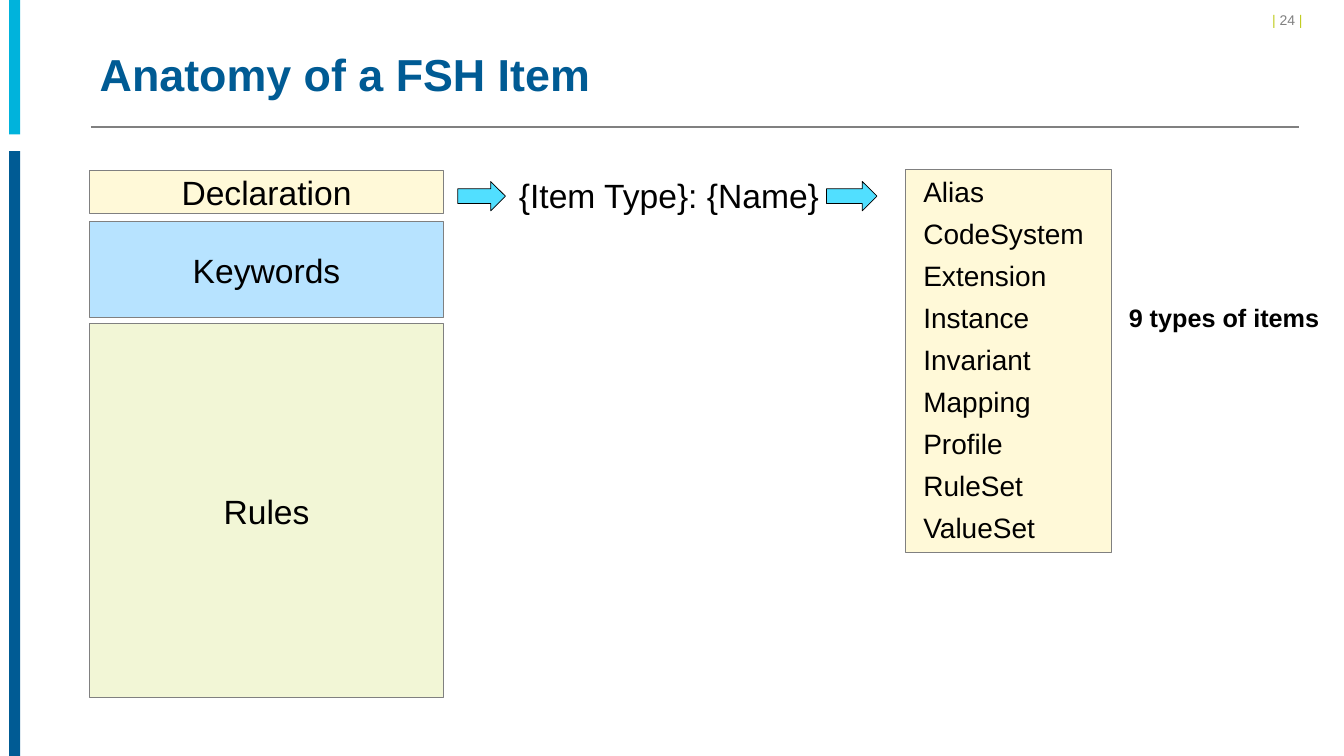
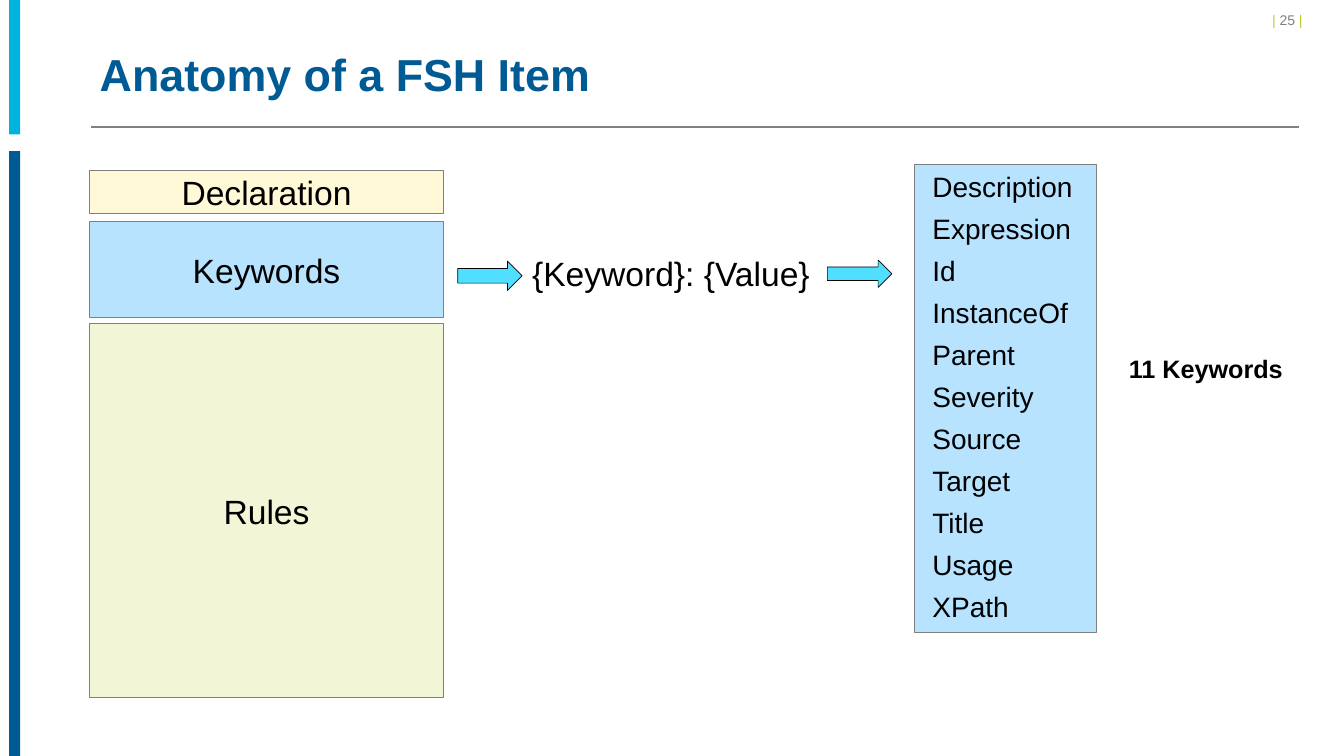
from lxml.etree import SubElement
from pptx import Presentation
from pptx.dml.color import RGBColor
from pptx.enum.shapes import MSO_CONNECTOR as Connector, MSO_SHAPE as Preset
from pptx.enum.text import MSO_ANCHOR as Anchor, PP_ALIGN as Align
from pptx.oxml.ns import qn
from pptx.util import Pt

FONT = "Arial"
COLORS = {
    "title": "005B94", "accent": "00B3DC", "grey": "808080", "lime": "C1CD23",
    "black": "000000", "arrow": "51DFFF",
    "declaration": "FFF9D8", "keywords": "B7E3FF", "rules": "F2F6D6",
}
TITLE = "Anatomy of a FSH Item"
PARTS = [("Declaration", 0, 31), ("Keywords", 36.6, 68.5), ("Rules", 109.5, 267)]
ITEM_TYPES = ["Alias", "CodeSystem", "Extension", "Instance", "Invariant",
              "Mapping", "Profile", "RuleSet", "ValueSet"]
KEYWORDS = ["Description", "Expression", "Id", "InstanceOf", "Parent", "Severity",
            "Source", "Target", "Title", "Usage", "XPath"]


def color(name):
    return RGBColor.from_string(COLORS[name])


def points(*lengths):
    return [Pt(length) for length in lengths]


def format_paragraph(paragraph, size, color_name="black", bold=False,
                     align=Align.LEFT, after=0):
    paragraph.alignment = align
    paragraph.space_after = Pt(after)
    font = paragraph.font
    font.name, font.size, font.bold = FONT, Pt(size), bold
    font.color.rgb = color(color_name)


def add_filled(slide, preset, box, fill, line=None):
    shape = slide.shapes.add_shape(preset, *points(*box))
    shape.shadow.inherit = False
    shape.fill.solid()
    shape.fill.fore_color.rgb = color(fill)
    if line:
        shape.line.color.rgb = color(line)
        shape.line.width = Pt(0.5)
    else:
        shape.line.fill.background()
    return shape


def add_label(slide, box, text, size, bold=False, wrap=True):
    frame = slide.shapes.add_textbox(*points(*box)).text_frame
    frame.word_wrap = wrap
    frame.text = text
    format_paragraph(frame.paragraphs[0], size, bold=bold)


def add_page_number(slide, number, box):
    frame = slide.shapes.add_textbox(*points(*box)).text_frame
    frame.word_wrap = True
    paragraph = frame.paragraphs[0]
    format_paragraph(paragraph, 10, "grey", align=Align.RIGHT)
    for text, name in [("| ", "lime"), (f"{number} ", "grey"), ("|", "lime")]:
        run = paragraph.add_run()
        run.text = text
        run.font.color.rgb = color(name)


def add_base_slide(presentation, number):
    """Add a slide with the title, rule, side bands and page number."""
    slide = presentation.slides.add_slide(presentation.slide_layouts[5])
    rule = slide.shapes.add_connector(Connector.STRAIGHT, *points(65, 90.6, 928, 90.6))
    rule.line.color.rgb = color("grey")
    rule.line.width = Pt(1)
    SubElement(rule._element.spPr, qn("a:effectLst"))
    add_page_number(slide, number, (769, 5, 168.5, 19.5))
    add_filled(slide, Preset.RECTANGLE, (6.5, 0, 8, 96), "accent")
    add_filled(slide, Preset.RECTANGLE, (6.5, 108, 8, 432), "title")

    title = slide.shapes.title
    title.left, title.top, title.width, title.height = points(64, 21.6, 864, 68.4)
    frame = title.text_frame
    frame.text = TITLE
    frame.vertical_anchor = Anchor.MIDDLE
    paragraph = frame.paragraphs[0]
    format_paragraph(paragraph, 32, "title", bold=True)
    paragraph.line_spacing = Pt(32)
    return slide


def add_item_parts(slide, left, top, width):
    for name, offset, height in PARTS:
        shape = add_filled(slide, Preset.RECTANGLE, (left, top + offset, width, height),
                           name.lower(), "grey")
        frame = shape.text_frame
        frame.text = name
        frame.vertical_anchor = Anchor.MIDDLE
        format_paragraph(frame.paragraphs[0], 24, align=Align.CENTER)


def add_name_list(slide, box, names, fill):
    frame = add_filled(slide, Preset.RECTANGLE, box, fill, "grey").text_frame
    frame.vertical_anchor = Anchor.TOP
    frame.margin_left, frame.margin_right = points(13, 0)
    frame.text = "\n".join(names)
    for paragraph in frame.paragraphs:
        format_paragraph(paragraph, 20, after=6)


def add_anatomy_slide(presentation, number, syntax, syntax_box, arrows,
                      names, list_box, fill, note, note_box):
    """Show the item parts, the syntax of one part and the names it allows."""
    slide = add_base_slide(presentation, number)
    add_item_parts(slide, 64, 121.7, 252.7)
    add_label(slide, syntax_box, syntax, 24)
    for arrow_box in arrows:
        add_filled(slide, Preset.RIGHT_ARROW, arrow_box, "arrow", "black")
    add_name_list(slide, list_box, names, fill)
    add_label(slide, note_box, note, 18, bold=True, wrap=False)


def main():
    presentation = Presentation()
    presentation.slide_width, presentation.slide_height = points(960, 540)
    add_anatomy_slide(
        presentation, 24, "{Item Type}: {Name}", (363.6, 121.7, 290, 36),
        [(327, 129.6, 34, 21), (590.4, 129.6, 36, 21)],
        ITEM_TYPES, (646.5, 121, 147.6, 273.6), "declaration",
        "9 types of items", (799.2, 212.4, 152, 29))
    add_anatomy_slide(
        presentation, 25, "{Keyword}: {Value}", (373, 177, 244, 36),
        [(327, 186.5, 46, 21), (591, 185.8, 46, 19.5)],
        KEYWORDS, (653, 117.4, 130.3, 334), "keywords",
        "11 Keywords", (799.2, 249, 125.3, 29))
    presentation.save("out.pptx")


if __name__ == "__main__":
    main()
